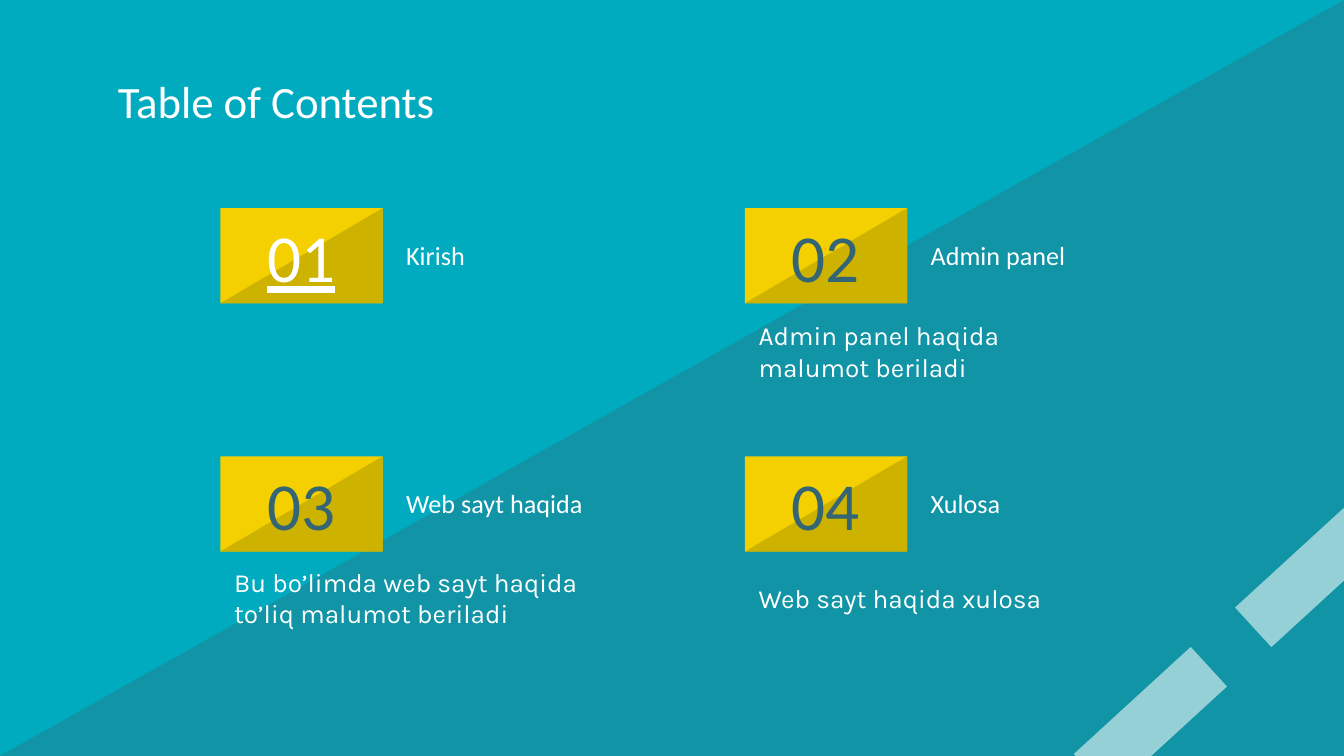
import pptx
import pptx.dml.color
import pptx.enum.shapes
import pptx.enum.text
import pptx.oxml.ns
import pptx.util
from lxml import etree

Pt = pptx.util.Pt
SHAPE = pptx.enum.shapes.MSO_SHAPE
ANCHOR = pptx.enum.text.MSO_ANCHOR
ALIGN = pptx.enum.text.PP_ALIGN

COLORS = {
    "background": "00ABBF",
    "slate": "336574",
    "white": "FFFFFF",
    "yellow": "F4D000",
    "dark_yellow": "CEB200",
}
SLIDE_WIDTH, SLIDE_HEIGHT = 720, 405
COLUMNS = (118, 399)
ROWS = (111.5, 244.5)
CARD_WIDTH, CARD_HEIGHT = 87, 51

# number, heading, description, description offset from card top, anchor
SECTIONS = [
    ("01", "Kirish", None, None, None),
    ("02", "Admin panel", "Admin panel haqida malumot beriladi", 52.5, ANCHOR.TOP),
    ("03", "Web sayt haqida", "Bu bo’limda web sayt haqida to’liq malumot beriladi",
     50.5, ANCHOR.MIDDLE),
    ("04", "Xulosa", "Web sayt haqida xulosa", 50.5, ANCHOR.MIDDLE),
]


def rgb(name):
    return pptx.dml.color.RGBColor.from_string(COLORS[name])


def add_block(page, kind, left, top, width, height, color, opacity=100):
    """Add a borderless filled shape; opacity is in percent."""
    block = page.shapes.add_shape(kind, Pt(left), Pt(top), Pt(width), Pt(height))
    block.shadow.inherit = False
    block.line.fill.background()
    block.fill.solid()
    block.fill.fore_color.rgb = rgb(color)
    if opacity < 100:
        tint = block._element.spPr.find(".//" + pptx.oxml.ns.qn("a:srgbClr"))
        alpha = etree.SubElement(tint, pptx.oxml.ns.qn("a:alpha"))
        alpha.set("val", str(opacity * 1000))
    return block


def add_corner(page, left, top, width, height, color, opacity=100):
    """Add a right triangle that fills the lower right half of its box."""
    corner = add_block(page, SHAPE.RIGHT_TRIANGLE, left, top, width, height, color, opacity)
    corner._element.spPr.xfrm.set("flipH", "1")


def add_text(page, text, left, top, width, height, size, font="Calibri",
             color="white", anchor=ANCHOR.MIDDLE, align=ALIGN.LEFT, underline=None):
    box = page.shapes.add_textbox(Pt(left), Pt(top), Pt(width), Pt(height))
    frame = box.text_frame
    frame.word_wrap = True
    frame.vertical_anchor = anchor
    frame.margin_left = frame.margin_right = Pt(7.2)
    frame.margin_top = frame.margin_bottom = Pt(7.2)
    para = frame.paragraphs[0]
    para.text = text
    para.alignment = align
    para.font.name = font
    para.font.size = Pt(size)
    para.font.color.rgb = rgb(color)
    para.font.underline = underline


def add_backdrop(page):
    page.background.fill.solid()
    page.background.fill.fore_color.rgb = rgb("background")
    add_corner(page, 0, 0, SLIDE_WIDTH, SLIDE_HEIGHT, "slate", 32)
    for left, top in ((573.8, 371.5), (660.2, 293)):
        stripe = add_block(page, SHAPE.RECTANGLE, left, top, 85, 28.8, "white", 56)
        stripe.rotation = 317.5


def add_section(page, left, top, section, active):
    number, heading, description, offset, anchor = section
    card = (left, top, CARD_WIDTH, CARD_HEIGHT)
    add_block(page, SHAPE.RECTANGLE, *card, "yellow")
    add_corner(page, *card, "dark_yellow")
    add_text(page, number, *card, 36, color="white" if active else "slate",
             align=ALIGN.CENTER, underline=active or None)
    add_text(page, heading, left + 92.5, top, 111.5, 50.5, 14)
    if description:
        add_text(page, description, left + 0.3, top + offset, 204, 50.5, 14,
                 font="Karla", anchor=anchor)


def main():
    deck = pptx.Presentation()
    deck.slide_width, deck.slide_height = Pt(SLIDE_WIDTH), Pt(SLIDE_HEIGHT)
    page = deck.slides.add_slide(deck.slide_layouts[6])
    add_backdrop(page)
    add_text(page, "Table of Contents", 56, 31, 608, 45.4, 24)
    for index, section in enumerate(SECTIONS):
        row, column = divmod(index, len(COLUMNS))
        add_section(page, COLUMNS[column], ROWS[row], section, active=index == 0)
    deck.save("out.pptx")


if __name__ == "__main__":
    main()
